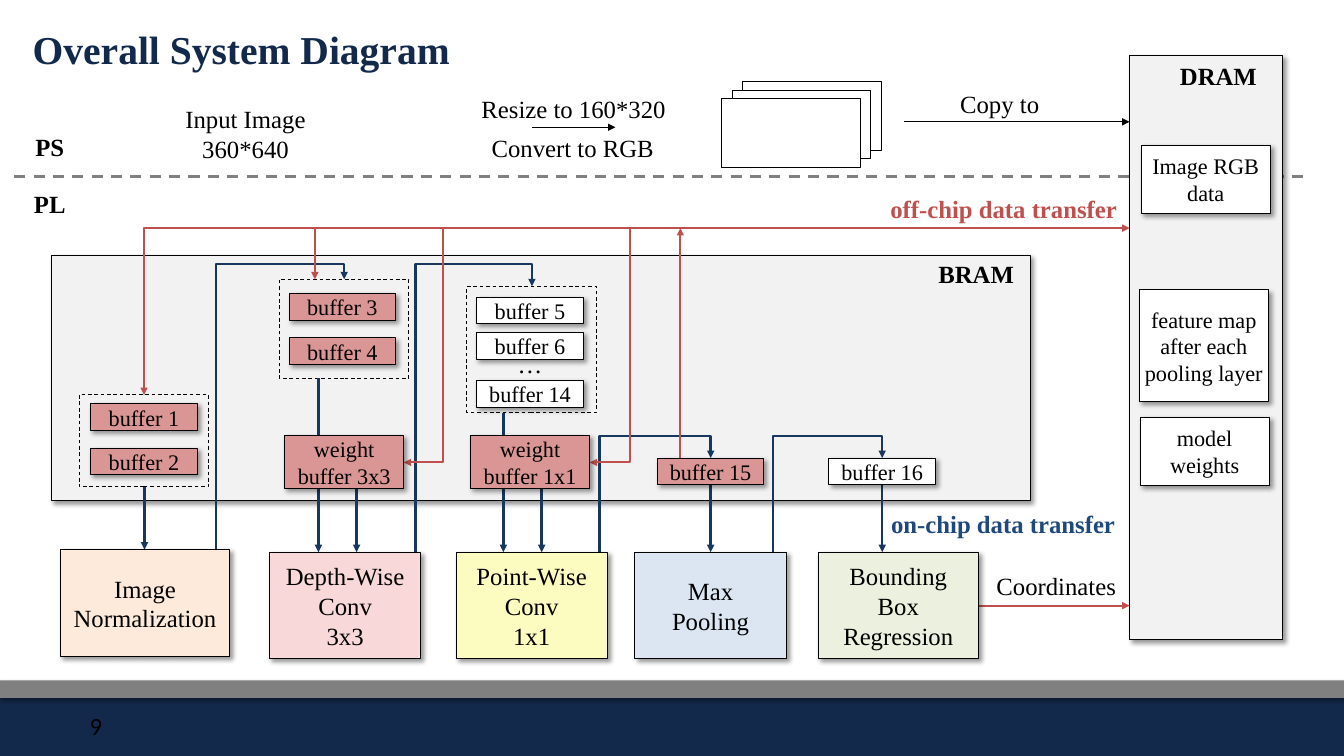
from dataclasses import dataclass
from lxml.etree import SubElement
from pptx import Presentation
from pptx.dml.color import RGBColor
from pptx.enum.dml import MSO_LINE
from pptx.enum.shapes import MSO_CONNECTOR, MSO_SHAPE
from pptx.enum.text import MSO_ANCHOR, PP_ALIGN
from pptx.oxml.ns import qn
from pptx.util import Pt


@dataclass(frozen=True)
class Theme:
    font: str = "Times New Roman"
    number_font: str = "Calibri"
    title_size: float = 32
    label_size: float = 20
    buffer_size: float = 18
    black: str = "000000"
    white: str = "FFFFFF"
    gray: str = "808080"
    panel: str = "F2F2F2"
    navy: str = "13294B"
    on_chip: str = "17375E"
    on_chip_text: str = "1F497D"
    off_chip: str = "C0504D"
    shared: str = "D99694"
    peach: str = "FDEADA"
    pink: str = "F8D8D8"
    yellow: str = "FDFCC0"
    blue: str = "DCE6F2"
    green: str = "EBF1DE"


theme = Theme()
# Shadow: opacity %, blur, distance, angle
BOX_SHADOW = (40, 4, 3, 45)
BAR_SHADOW = (35, 3.1, 1.8, 90)

presentation = Presentation()
presentation.slide_width, presentation.slide_height = Pt(1088), Pt(612)
slide = presentation.slides.add_slide(presentation.slide_layouts[6])


def add_box(bounds, text="", fill=None, outline=theme.black, dash=None, shadow=None,
            size=theme.label_size, color=theme.black, bold=False, font=theme.font,
            align=PP_ALIGN.CENTER, label=False, inset=None, wrap=True):
    """Add a rectangle, or a plain text box when label is set."""
    bounds = [Pt(length) for length in bounds]
    if label:
        shape = slide.shapes.add_textbox(*bounds)
    else:
        shape = slide.shapes.add_shape(MSO_SHAPE.RECTANGLE, *bounds)
        shape.shadow.inherit = False
        if fill:
            shape.fill.solid()
            shape.fill.fore_color.rgb = RGBColor.from_string(fill)
        else:
            shape.fill.background()
        if outline:
            shape.line.color.rgb = RGBColor.from_string(outline)
            shape.line.width = Pt(0.75)
            shape.line.dash_style = dash
        else:
            shape.line.fill.background()
    if shadow:
        opacity, blur, distance, angle = shadow
        effects = shape.element.spPr.find(qn("a:effectLst"))
        outer = SubElement(effects, qn("a:outerShdw"), blurRad=str(Pt(blur)),
                           dist=str(Pt(distance)), dir=str(angle * 60000), rotWithShape="0")
        tint = SubElement(outer, qn("a:srgbClr"), val=theme.black)
        SubElement(tint, qn("a:alpha"), val=str(opacity * 1000))
    if text:
        frame = shape.text_frame
        frame.word_wrap = wrap
        frame.vertical_anchor = MSO_ANCHOR.TOP if label else MSO_ANCHOR.MIDDLE
        if inset is not None:
            frame.margin_left = frame.margin_right = Pt(inset)
            frame.margin_top = frame.margin_bottom = Pt(inset)
        for index, line in enumerate(text.split("\n")):
            paragraph = frame.add_paragraph() if index else frame.paragraphs[0]
            paragraph.alignment = align
            run = paragraph.add_run()
            run.text = line
            run.font.name, run.font.size, run.font.bold = font, Pt(size), bold
            run.font.color.rgb = RGBColor.from_string(color)


def add_route(points, color, width, ends="", dash=None):
    """Connect 2 points straight, or 3 or 4 points with right-angled bends."""
    (x0, y0), (x1, y1) = points[0], points[-1]
    bent = len(points) > 2
    starts_upward = bent and points[0][0] == points[1][0]
    rail = (y0 - points[1][1]) / (y0 - y1) if len(points) == 4 else None
    if starts_upward:  # the frame is laid on its side, then turned by 90 degrees
        middle_x, middle_y = (x0 + x1) / 2, (y0 + y1) / 2
        half_width, half_height = (y0 - y1) / 2, (x1 - x0) / 2
        x0, x1 = middle_x + half_width, middle_x - half_width
        y0, y1 = middle_y + half_height, middle_y - half_height
    kind = MSO_CONNECTOR.ELBOW if bent else MSO_CONNECTOR.STRAIGHT
    connector = slide.shapes.add_connector(kind, Pt(x0), Pt(y0), Pt(x1), Pt(y1))
    connector.line.color.rgb = RGBColor.from_string(color)
    connector.line.width = Pt(width)
    connector.line.dash_style = dash
    properties = connector.element.spPr
    if starts_upward:
        properties.find(qn("a:xfrm")).set("rot", "5400000")
    if bent:
        geometry = properties.find(qn("a:prstGeom"))
        geometry.set("prst", f"bentConnector{len(points) - 1}")
        if rail:
            SubElement(geometry.find(qn("a:avLst")), qn("a:gd"), name="adj1",
                       fmla=f"val {round(rail * 100000)}")
    for end in ("head", "tail"):
        if end in ends:
            SubElement(properties.find(qn("a:ln")), qn(f"a:{end}End"), type="triangle")
    SubElement(properties, qn("a:effectLst"))


# Footer
add_box((0, 564.5, 1088, 47.5), fill=theme.navy, outline=None, shadow=BAR_SHADOW)
add_box((0, 550.8, 1088, 14.2), fill=theme.gray, outline=None, shadow=BAR_SHADOW)
add_box((65.5, 571.5, 41.8, 32), "9", font=theme.number_font, align=PP_ALIGN.LEFT, label=True)

# Memory panels, PS/PL divider and image sheets
add_route([(11.5, 142.6), (1061.3, 142.6)], theme.gray, 2.25, dash=MSO_LINE.DASH)
for panel in [(41.8, 206.6, 792.7, 198.7), (914.4, 44.6, 123.8, 473)]:
    add_box(panel, fill=theme.panel, shadow=BOX_SHADOW)
for depth in (2, 1, 0):
    add_box((584 + 8.6 * depth, 80 - 6.9 * depth, 112.3, 55.4), fill=theme.white)

# Buffer groups
for group in [(64, 319.7, 105, 74.5), (226, 226.1, 105, 79.9), (378, 231.8, 105, 102.2)]:
    add_box(group, dash=MSO_LINE.DASH)

# Image preparation arrows
for start, end, y in [(430.6, 498.2, 103), (731.5, 914.4, 98.6)]:
    add_route([(start, y), (end, y)], theme.black, 0.75, "tail")

# On-chip transfers: straight down, then up and over a rail
block_top = 447
for x, y in [(117, 394), (257.8, 306), (288.7, 395.3), (407.5, 334), (438.5, 395.3),
             (575.3, 392.4), (714.2, 392.4)]:
    add_route([(x, y), (x, 445 if x == 117 else block_top)], theme.on_chip, 2, "tail")
for start, end, rail, bottom in [(175, 278.6, 213.8, 226.1), (336.2, 430.6, 213.8, 231.8),
                                 (485.3, 575.3, 352.8, 370.8), (625.7, 714.2, 352.8, 370.8)]:
    add_route([(start, block_top), (start, rail), (end, rail), (end, bottom)],
              theme.on_chip, 2, "tail")

# Off-chip transfers
bus = 184.7
for points, ends in [
    ([(116.6, 319.7), (116.6, bus), (914.4, bus)], "head tail"),
    ([(326.9, 374.4), (358.6, 374.4), (358.6, bus)], "head"),
    ([(477.4, 374.4), (509.8, 374.4), (509.8, bus)], "head"),
    ([(254.9, 226.1), (254.9, bus)], "head"),
    ([(550.8, bus), (550.8, 370.8)], "head"),
    ([(792, 490.3), (914.4, 490.3)], "tail"),
]:
    add_route(points, theme.off_chip, 1.5, ends)

# Processing blocks
for x, y, width, fill, text in [
    (49, 445, 136.8, theme.peach, "Image Normalization"),
    (218.2, block_top, 122.4, theme.pink, "Depth-Wise\nConv\n3x3"),
    (369.2, block_top, 122.4, theme.yellow, "Point-Wise\nConv\n1x1"),
    (514, block_top, 122.4, theme.blue, "Max\nPooling"),
    (662.4, block_top, 129.6, theme.green, "Bounding\nBox\nRegression"),
]:
    add_box((x, y, width, 86.4), text, fill, shadow=BOX_SHADOW)

# Buffers
for number, x, y, fill in [
    (1, 73.4, 326.9, theme.shared), (2, 73.4, 362.9, theme.shared),
    (3, 234, 237.6, theme.shared), (4, 234, 273.6, theme.shared),
    (5, 385.9, 240.5, theme.white), (6, 385.9, 269.3, theme.white),
    (14, 385.9, 308.2, theme.white), (15, 532.1, 370.8, theme.shared),
    (16, 671, 370.8, theme.white),
]:
    add_box((x, y, 86.4, 21.6), f"buffer {number}", fill, shadow=BOX_SHADOW,
            size=theme.buffer_size)
for x, kernel in [(230.4, "3x3"), (380.9, "1x1")]:
    add_box((x, 352.8, 96.5, 42.5), f"weight buffer {kernel}", theme.shared,
            shadow=BOX_SHADOW, size=theme.buffer_size)

# DRAM contents
for x, y, height, text in [(923.8, 117.4, 55.4, "Image RGB data"),
                           (922.3, 234.7, 90.7, "feature map after each pooling layer"),
                           (923, 337.7, 55.4, "model weights")]:
    add_box((x, y, 104.4, height), text, theme.white, shadow=BOX_SHADOW,
            size=theme.buffer_size, inset=0)

# Title and labels
add_box((19.4, 16.6, 355.7, 46), "Overall System Diagram", size=theme.title_size,
        color=theme.navy, bold=True, align=PP_ALIGN.LEFT, label=True, wrap=False)
for x, y, width, text, color, bold in [
    (138.2, 80.6, 121, "Input Image 360*640", theme.black, False),
    (365, 72.7, 198.7, "Resize to 160*320", theme.black, False),
    (364.3, 103.7, 198.7, "Convert to RGB", theme.black, False),
    (709.9, 68.4, 198.7, "Copy to", theme.black, False),
    (395.3, 278.6, 67.7, "…", theme.black, False),
    (756, 458.6, 198, "Coordinates", theme.black, False),
    (749.5, 205.9, 81.4, "BRAM", theme.black, True),
    (887, 46.1, 198.7, "DRAM", theme.black, True),
    (19.4, 103, 41.8, "PS", theme.black, True),
    (19.4, 149, 41.8, "PL", theme.black, True),
    (699.8, 408.2, 224.6, "on-chip data transfer", theme.on_chip_text, True),
    (708.5, 153.4, 208.1, "off-chip data transfer", theme.off_chip, True),
]:
    add_box((x, y, width, 31.7), text, color=color, bold=bold, label=True)

presentation.save("out.pptx")
